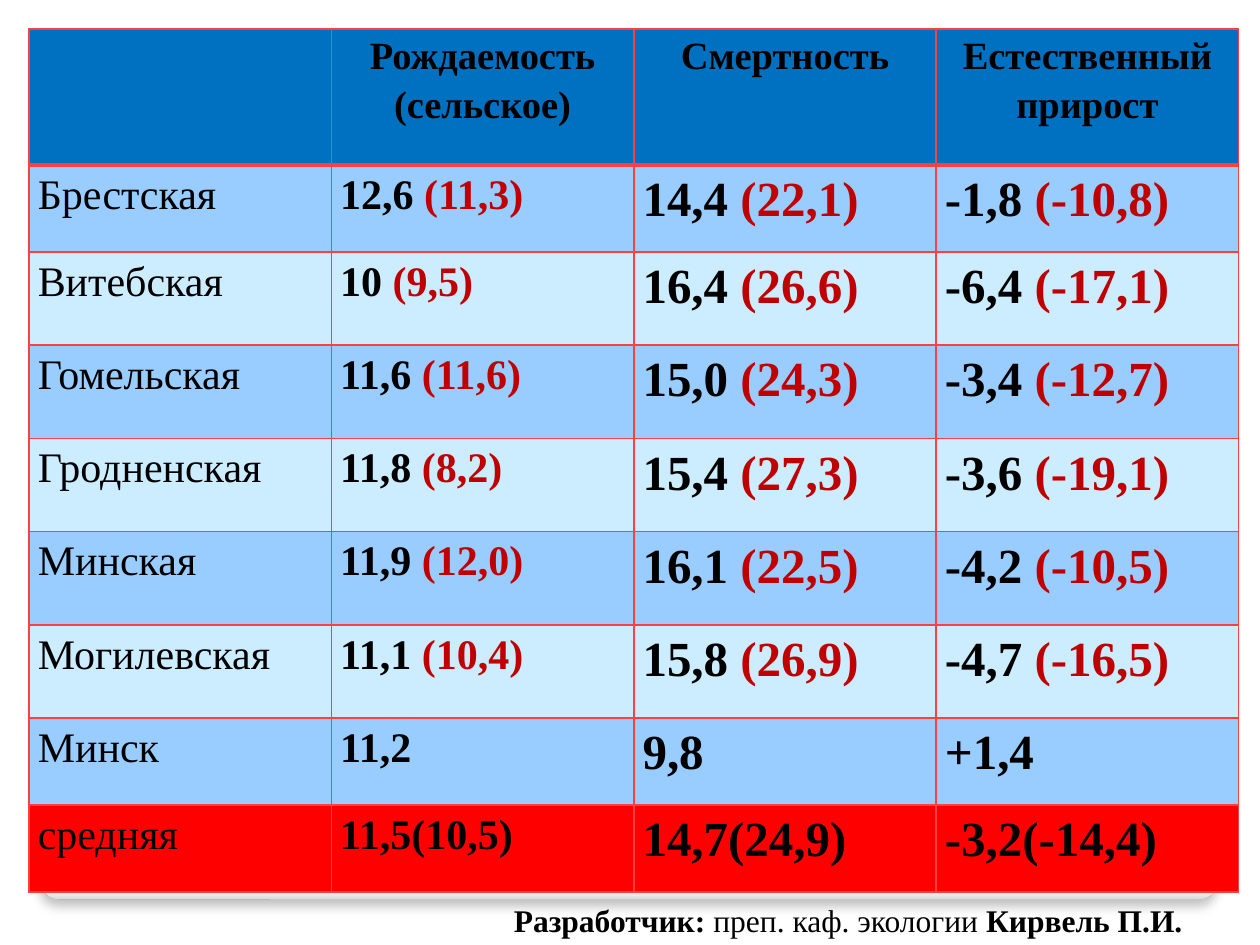
"""Build a slide with a table of birth, death and growth rates by region."""
import pptx
import pptx.dml.color
import pptx.enum.shapes
import pptx.enum.text
import pptx.oxml
import pptx.oxml.ns
import pptx.util

Inches = pptx.util.Inches
Pt = pptx.util.Pt
RGBColor = pptx.dml.color.RGBColor
ALIGN = pptx.enum.text.PP_ALIGN

BLACK = RGBColor(0x00, 0x00, 0x00)
CRIMSON = RGBColor(0xC0, 0x00, 0x00)
NAVY = RGBColor(0x00, 0x70, 0xC0)
SKY = RGBColor(0x99, 0xCC, 0xFF)
PALE = RGBColor(0xCC, 0xEC, 0xFF)
RED = RGBColor(0xFF, 0x00, 0x00)
CORAL = RGBColor(0xFF, 0x40, 0x40)
GREY = RGBColor(0xA4, 0xA4, 0xA4)
WHITE = RGBColor(0xFF, 0xFF, 0xFF)
MIST = RGBColor(0xF7, 0xF7, 0xF7)
SILVER = RGBColor(0xDA, 0xDA, 0xDA)

FONT = "Times New Roman"
NS = pptx.oxml.ns.nsdecls("a")
HEADS = ["", "Рождаемость\n(сельское)", "Смертность", "Естественный прирост"]
ROWS = [
    ["Брестская", "12,6 (11,3)", "14,4 (22,1)", "-1,8 (-10,8)"],
    ["Витебская", "10 (9,5)", "16,4 (26,6)", "-6,4 (-17,1)"],
    ["Гомельская", "11,6 (11,6)", "15,0 (24,3)", "-3,4 (-12,7)"],
    ["Гродненская", "11,8 (8,2)", "15,4 (27,3)", "-3,6 (-19,1)"],
    ["Минская", "11,9 (12,0)", "16,1 (22,5)", "-4,2 (-10,5)"],
    ["Могилевская", "11,1 (10,4)", "15,8 (26,9)", "-4,7 (-16,5)"],
    ["Минск", "11,2", "9,8", "+1,4"],
    ["средняя", "11,5(10,5)", "14,7(24,9)", "-3,2(-14,4)"],
]
TALLS = [1.08, 0.69] + [0.74] * 5 + [0.69] * 2
SIZES = [24, 24, 28, 28]


def add_run(para, text, size, bold, color=BLACK):
    run = para.add_run()
    run.text = text
    run.font.name = FONT
    run.font.size = Pt(size)
    run.font.bold = bold
    run.font.color.rgb = color


def add_panel(slide):
    panel = slide.shapes.add_shape(
        pptx.enum.shapes.MSO_SHAPE.ROUNDED_RECTANGLE,
        Inches(0.33), Inches(0.36), Inches(9.33), Inches(6.78))
    panel.adjustments[0] = 0.02
    panel.line.color.rgb = GREY
    panel.line.width = Pt(0.16)
    panel.fill.gradient()
    panel.fill.gradient_angle = 270
    stops = panel.element.spPr.find(pptx.oxml.ns.qn("a:gradFill")).find(
        pptx.oxml.ns.qn("a:gsLst"))
    for stop in list(stops):
        stops.remove(stop)
    for place, color in [(0, WHITE), (98, WHITE), (99, MIST), (100, SILVER)]:
        stops.append(pptx.oxml.parse_xml(
            f'<a:gs {NS} pos="{place * 1000}"><a:srgbClr val="{color}"/></a:gs>'))
    panel.element.spPr.append(pptx.oxml.parse_xml(
        f'<a:effectLst {NS}><a:outerShdw blurRad="{Pt(6)}" dist="{Pt(4)}" '
        'dir="5400000" rotWithShape="0"><a:srgbClr val="000000">'
        '<a:alpha val="25000"/></a:srgbClr></a:outerShdw></a:effectLst>'))


def style_cell(cell, fill, base):
    cell.margin_left = cell.margin_right = Inches(0.07)
    cell.margin_top = cell.margin_bottom = 0
    props = cell._tc.get_or_add_tcPr()
    for side, width in [("L", 1), ("R", 1), ("T", 1), ("B", base)]:
        props.append(pptx.oxml.parse_xml(
            f'<a:ln{side} {NS} w="{Pt(width)}"><a:solidFill>'
            f'<a:srgbClr val="{CORAL}"/></a:solidFill></a:ln{side}>'))
    cell.fill.solid()
    cell.fill.fore_color.rgb = fill


def fill_head(cell, text):
    style_cell(cell, NAVY, 3)
    cell.text_frame.text = text
    for para in cell.text_frame.paragraphs:
        para.alignment = ALIGN.CENTER
        para.line_spacing = 1.15
        for run in para.runs:
            run.font.name = FONT
            run.font.size = Pt(22)
            run.font.bold = True
            run.font.color.rgb = BLACK


def fill_cell(cell, text, fill, size, bold):
    style_cell(cell, fill, 1)
    para = cell.text_frame.paragraphs[0]
    para.alignment = ALIGN.JUSTIFY
    para.line_spacing = 1.15
    total, gap, rural = text.partition(" ")
    add_run(para, total + gap, size, bold)
    if rural:
        add_run(para, rural, size, bold, CRIMSON)


def add_rates(slide):
    table = slide.shapes.add_table(
        len(TALLS), len(HEADS), Inches(0.23), Inches(0.23),
        Inches(2.4 * len(HEADS)), Inches(sum(TALLS))).table
    for row, tall in zip(table.rows, TALLS):
        row.height = Inches(tall)
    for col, text in enumerate(HEADS):
        fill_head(table.cell(0, col), text)
    fills = [SKY, PALE] * 3 + [SKY, RED]
    for row, (texts, fill) in enumerate(zip(ROWS, fills), 1):
        for col, (text, size) in enumerate(zip(texts, SIZES)):
            fill_cell(table.cell(row, col), text, fill, size, col > 0)


def add_credit(slide):
    box = slide.shapes.add_textbox(
        Inches(3.98), Inches(7.1), Inches(5.75), Inches(0.4))
    frame = box.text_frame
    frame.word_wrap = True
    frame.auto_size = pptx.enum.text.MSO_AUTO_SIZE.SHAPE_TO_FIT_TEXT
    para = frame.paragraphs[0]
    add_run(para, "Разработчик:", 18, True)
    add_run(para, " преп. каф. экологии ", 18, False)
    add_run(para, "Кирвель П.И.", 18, True)


def main():
    deck = pptx.Presentation()
    deck.slide_width = Inches(10)
    deck.slide_height = Inches(7.5)
    slide = deck.slides.add_slide(deck.slide_layouts[6])
    add_panel(slide)
    add_rates(slide)
    add_credit(slide)
    deck.save("out.pptx")


if __name__ == "__main__":
    main()
